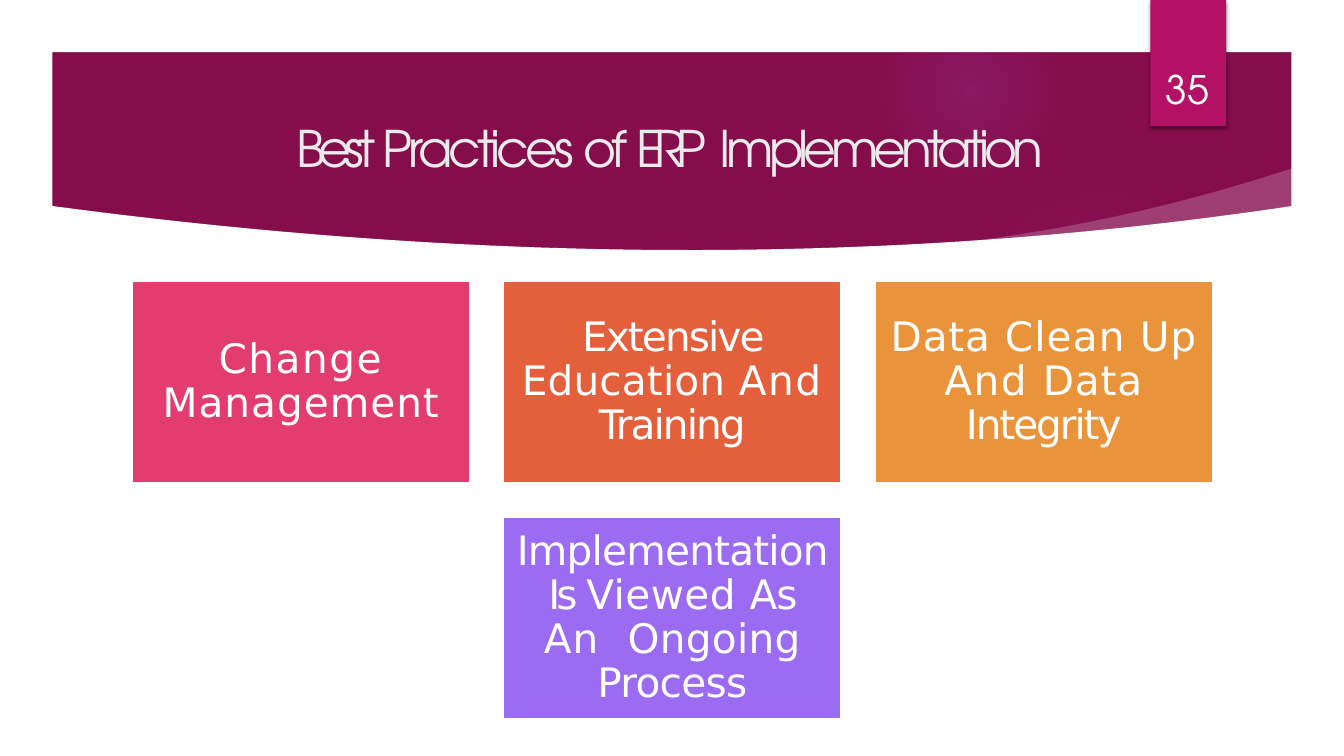
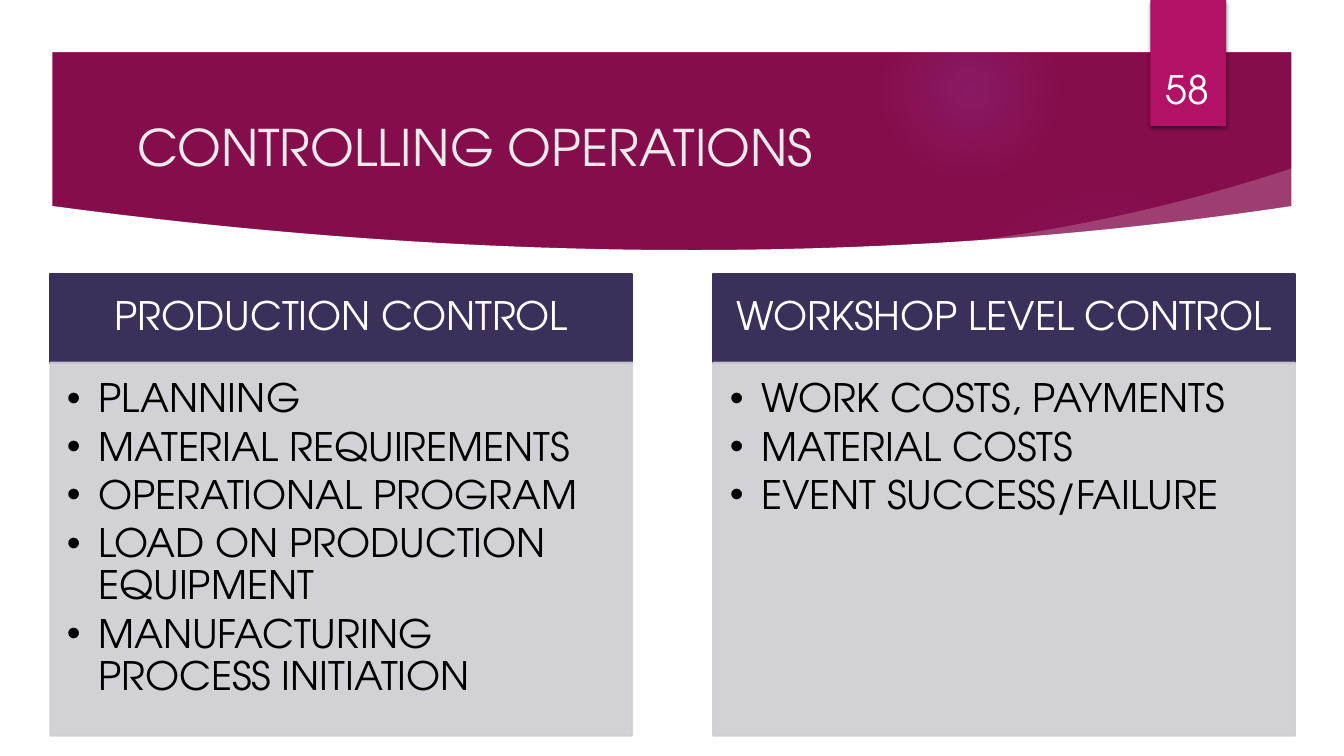
from lxml.etree import SubElement
from pptx import Presentation
from pptx.dml.color import RGBColor
from pptx.enum.shapes import MSO_SHAPE as SHAPE
from pptx.enum.text import MSO_ANCHOR as ANCHOR, MSO_AUTO_SIZE as AUTO, PP_ALIGN as ALIGN
from pptx.oxml import parse_xml
from pptx.oxml.ns import nsdecls, qn
from pptx.util import Pt

COLORS = {
    "band": "860D4C", "tag": "B31166", "glow": "9B6BF2", "white": "FFFFFF",
    "title": "EBEBEB", "pink": "E33D6F", "orange": "E45F3C", "amber": "E9943A",
    "violet": "9B6BF2", "navy": "3B3059", "grey": "CECDD1", "black": "000000",
}
FONT, TILE_FONT = "TeX Gyre Adventor", "DejaVu Sans"
SLIDE_W, SLIDE_H = 960, 540
FRAME_X, FRAME_Y = 37.5, 37.2
TILE_W, TILE_H, TILE_GAP = 241.3, 144.5, 24
TILE_LEFT, TILE_TOP = 94.3, 200.9
PANEL_W, PANEL_LEFT, PANEL_PITCH = 415.5, 36, 473.5

GLOWS = [
    (0, 210, 330, [(0, 11), (36, 10), (75, 0)]),
    (0, 228, 186, [(0, 8), (36, 8), (72, 0)]),
    (677.5, 462, 78, [(0, 14), (36, 7), (66, 0)]),
    (677.5, 132, 222, [(0, 7), (36, 6), (69, 0)]),
    (630, 1, 126, [(0, 14), (36, 7), (73, 0)]),
]
TILES = [
    (0, 0, "pink", [("Change ", 1.1), ("Management", 0.7)]),
    (1, 0, "orange", [("Extensive ", -1.4), ("Education ", 0.1), ("And ", 1.1),
                      ("Training", -1.4)]),
    (2, 0, "amber", [("Data ", 0.6), ("Clean ", 0.8), ("Up ", 0.5), ("And ", 1.1),
                     ("Data ", 0.6), ("Integrity", -1.5)]),
    (1, 1, "violet", [("Implementation ", -0.6), ("Is ", -2.9), ("Viewed ", 0.3),
                      ("As ", -0.8), ("An  ", 0.8), ("Ongoing ", 0.2),
                      ("Process", -0.5)]),
]
PANELS = [
    ("PRODUCTION CONTROL", ["PLANNING", "MATERIAL REQUIREMENTS", "OPERATIONAL PROGRAM",
                            "LOAD ON PRODUCTION EQUIPMENT",
                            "MANUFACTURING PROCESS INITIATION"]),
    ("WORKSHOP LEVEL CONTROL", ["WORK COSTS, PAYMENTS", "MATERIAL COSTS",
                                "EVENT SUCCESS/FAILURE"]),
]


def rgb(name):
    """Return the named colour."""
    return RGBColor.from_string(COLORS[name])


def paint(sp, fill, line=None, alpha=None):
    """Give a shape a flat fill, an optional outline and an opacity in percent."""
    sp.shadow.inherit = False
    sp.fill.solid()
    sp.fill.fore_color.rgb = rgb(fill)
    if line:
        sp.line.color.rgb = rgb(line)
        sp.line.width = Pt(1.5)
    else:
        sp.line.fill.background()
    if alpha:
        for color in list(sp._element.spPr.iter(qn("a:srgbClr"))):
            SubElement(color, qn("a:alpha")).set("val", str(alpha * 1000))
    return sp


def add_box(s, left, top, width, height, fill, line=None, alpha=None, kind=SHAPE.RECTANGLE):
    """Add a painted preset shape."""
    sp = s.shapes.add_shape(kind, Pt(left), Pt(top), Pt(width), Pt(height))
    return paint(sp, fill, line, alpha)


def add_outline(s, contours, fill, alpha=None):
    """Add a painted freeform made of closed contours."""
    contours = [[(Pt(x), Pt(y)) for x, y in points] for points in contours]
    builder = s.shapes.build_freeform(*contours[0][0])
    for i, points in enumerate(contours):
        if i:
            builder.move_to(*points[0])
        builder.add_line_segments(points[1:])
    return paint(builder.convert_to_shape(), fill, alpha=alpha)


def set_frame(tf, margins, anchor):
    """Set wrapping, insets and anchor of a text frame."""
    tf.word_wrap = True
    tf.auto_size = AUTO.NONE
    tf.margin_left, tf.margin_top, tf.margin_right, tf.margin_bottom = map(Pt, margins)
    tf.vertical_anchor = anchor


def add_runs(p, runs, size, color, font=FONT, align=ALIGN.LEFT, line_spacing=1.0):
    """Fill a paragraph with (text, letter spacing) runs."""
    p.alignment = align
    p.line_spacing = line_spacing
    for text, spacing in runs:
        r = p.add_run()
        r.text = text
        r.font.size = Pt(size)
        r.font.name = font
        r.font.color.rgb = rgb(color)
        if spacing:
            r._r.get_or_add_rPr().set("spc", str(round(spacing * 100)))


def add_bullet(p, indent):
    """Give a paragraph a hanging round bullet."""
    pPr = p._p.get_or_add_pPr()
    pPr.set("marL", str(Pt(indent)))
    pPr.set("indent", str(-Pt(indent)))
    SubElement(pPr, qn("a:buFont")).set("typeface", "Arial")
    SubElement(pPr, qn("a:buChar")).set("char", "•")


def add_glow(s, left, top, size, stops):
    """Add a round light that fades outwards."""
    sp = add_box(s, left, top, size, size, "glow", kind=SHAPE.OVAL)
    marks = "".join(
        f'<a:gs pos="{pos}000"><a:srgbClr val="{COLORS["glow"]}">'
        f'<a:alpha val="{alpha}000"/></a:srgbClr></a:gs>' for pos, alpha in stops)
    spPr = sp._element.spPr
    spPr.replace(spPr.find(qn("a:solidFill")), parse_xml(
        f'<a:gradFill {nsdecls("a")}><a:gsLst>{marks}</a:gsLst><a:path path="circle">'
        '<a:fillToRect l="50000" t="50000" r="50000" b="50000"/></a:path></a:gradFill>'))


def add_tag(s, number):
    """Add the shadowed number tag at the top edge."""
    sp = add_box(s, 821.8, 0, 54, 90, "tag")
    spPr = sp._element.spPr
    spPr.replace(spPr.find(qn("a:effectLst")), parse_xml(
        f'<a:effectLst {nsdecls("a")}><a:outerShdw blurRad="{Pt(3)}" dist="{Pt(2)}" '
        f'dir="5400000"><a:srgbClr val="{COLORS["black"]}"><a:alpha val="45000"/>'
        '</a:srgbClr></a:outerShdw></a:effectLst>'))
    tb = s.shapes.add_textbox(Pt(815), Pt(23), Pt(66.5), Pt(60.5))
    set_frame(tb.text_frame, (7.2, 3.6, 7.2, 3.6), ANCHOR.BOTTOM)
    add_runs(tb.text_frame.paragraphs[0], [(number, 0)], 28, "white", align=ALIGN.CENTER)


def band_edge(x):
    """Return the height of the band's curved lower edge at x."""
    t = (x - 480) / 444
    return 147 + 31.6 * (1 - t * t) * (1 + 0.06 * t)


def sweep_edge(x):
    """Return the height of the pale sweep's upper edge at x."""
    u = (x - 670) / 72
    return 175 - 7.5 * u - 2.3 * u * u


def curve(edge, left, right, count=48):
    """Return evenly spaced points along an edge."""
    xs = [left + (right - left) * i / count for i in range(count + 1)]
    return [(x, edge(x)) for x in xs]


def rectangle(left, top, right, bottom):
    """Return the corners of a rectangle."""
    return [(left, top), (left, bottom), (right, bottom), (right, top)]


def add_backdrop(s, number):
    """Draw the glows, the pale sweep, the white page and frame, and the tag."""
    for glow in GLOWS:
        add_glow(s, *glow)
    add_outline(s, [curve(sweep_edge, 670, 924) + [(928, 154), (672.5, 180)]], "white", 20)
    add_outline(s, [curve(band_edge, 36, 924) + [(924, 504), (36, 504)]], "white")
    hole = rectangle(FRAME_X, FRAME_Y, SLIDE_W - FRAME_X, SLIDE_H - FRAME_Y)
    add_outline(s, [rectangle(0, 0, SLIDE_W, SLIDE_H), hole[::-1]], "white")
    add_tag(s, number)


def add_slide(prs, number, runs, box, margins):
    """Add a slide with the shared backdrop and a title."""
    s = prs.slides.add_slide(prs.slide_layouts[5])
    add_backdrop(s, number)
    title = s.shapes.title
    title.left, title.top, title.width, title.height = map(Pt, box)
    set_frame(title.text_frame, margins, ANCHOR.MIDDLE)
    add_runs(title.text_frame.paragraphs[0], runs, 36, "title")
    s.shapes._spTree.append(title._element)
    return s


def add_tile(s, col, row, color, runs):
    """Add one practice tile at its grid place."""
    sp = add_box(s, TILE_LEFT + col * (TILE_W + TILE_GAP),
                 TILE_TOP + row * (TILE_H + TILE_GAP), TILE_W, TILE_H, color, "white")
    set_frame(sp.text_frame, (8.6,) * 4, ANCHOR.MIDDLE)
    add_runs(sp.text_frame.paragraphs[0], runs, 29, "white", TILE_FONT, ALIGN.CENTER, 0.9)


def add_panel(s, index, heading, items):
    """Add a headed panel with a bullet list."""
    left = PANEL_LEFT + index * PANEL_PITCH
    head = add_box(s, left, 196, PANEL_W, 63, "navy", "navy")
    set_frame(head.text_frame, (15.8, 8.2, 15.8, 9), ANCHOR.MIDDLE)
    add_runs(head.text_frame.paragraphs[0], [(heading, 0)], 28, "white",
             align=ALIGN.CENTER, line_spacing=0.9)
    body = add_box(s, left, 259, PANEL_W, 266.5, "grey", "grey", 90)
    tf = body.text_frame
    set_frame(tf, (11.8, 11.8, 15.8, 17.5), ANCHOR.TOP)
    for i, item in enumerate(items):
        p = tf.add_paragraph() if i else tf.paragraphs[0]
        add_runs(p, [(item, 0)], 28, "black", line_spacing=0.9)
        p.space_after = Pt(4.2)
        add_bullet(p, 22.5)


def main():
    """Build the deck."""
    prs = Presentation()
    prs.slide_width, prs.slide_height = Pt(SLIDE_W), Pt(SLIDE_H)
    page = prs.slide_master.background.fill
    page.solid()
    page.fore_color.rgb = rgb("band")

    s = add_slide(prs, "35", [("Best ", -4.7), ("Practices ", -2.8), ("of ", -3.5),
                              ("ERP", -6.5), (" ", -2.2), ("Implementation", -3.6)],
                  (211.5, 82, 690, 45), (0, 1, 0, 0))
    for tile in TILES:
        add_tile(s, *tile)

    s = add_slide(prs, "58", [("CONTROLLING OPERATIONS", 0)],
                  (91, 76.5, 690, 55.5), (7.2, 3.6, 7.2, 3.6))
    for index, panel in enumerate(PANELS):
        add_panel(s, index, *panel)

    prs.save("out.pptx")


if __name__ == "__main__":
    main()
